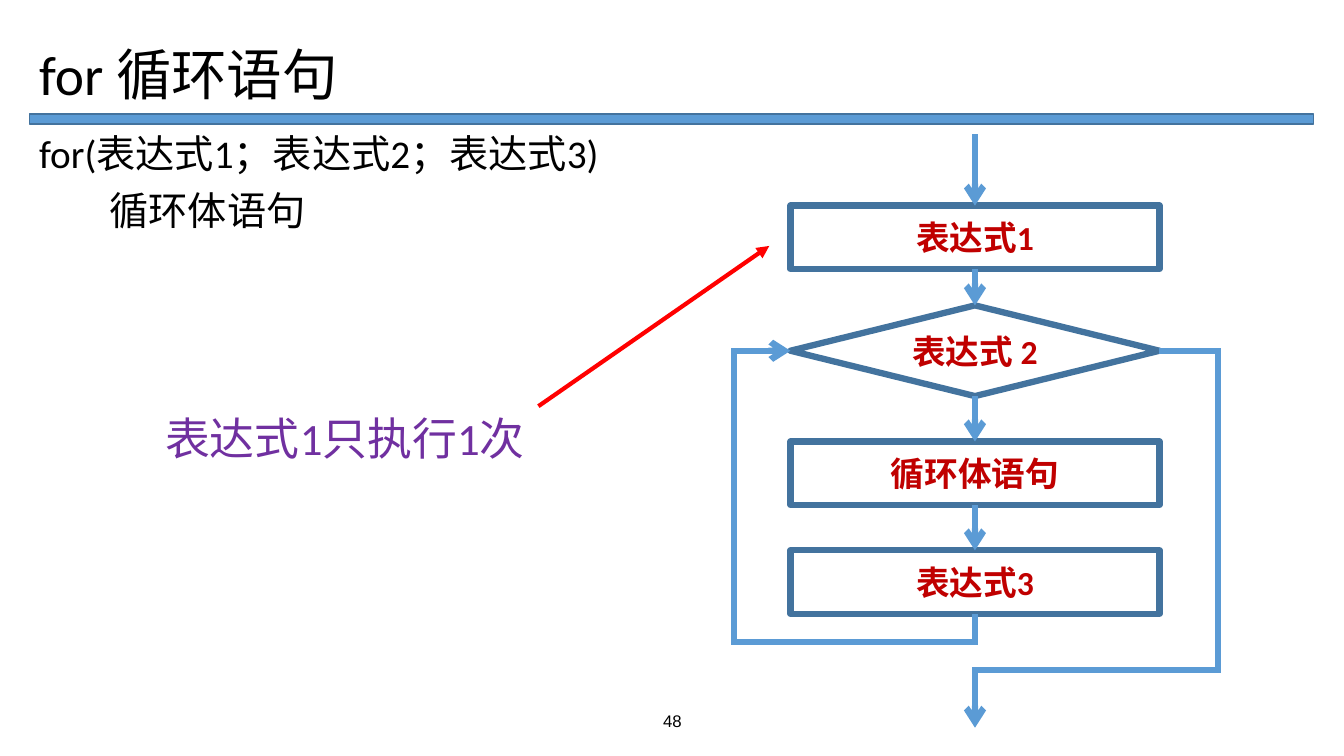
from pptx import Presentation
from pptx.dml.color import RGBColor
from pptx.enum.shapes import MSO_CONNECTOR as CONN, MSO_SHAPE as SHAPE
from pptx.enum.text import MSO_ANCHOR as ANCHOR, PP_ALIGN as ALIGN
from pptx.oxml.ns import qn
from pptx.util import Inches, Pt
from lxml import etree

BLUE = RGBColor(0x5B, 0x9B, 0xD5)
DARK_BLUE = RGBColor(0x43, 0x73, 0x9E)
DARK_RED = RGBColor(0xC0, 0x00, 0x00)
RED = RGBColor(0xFF, 0x00, 0x00)
PURPLE = RGBColor(0x70, 0x30, 0xA0)
BLACK = RGBColor(0x00, 0x00, 0x00)

TITLE = "for 循环语句"
# text, indent in inches
SYNTAX = [("for(表达式1；表达式2；表达式3)", 0), ("循环体语句", 0.7)]
CALLOUT = "表达式1只执行1次"
PAGE = "48"
# text, shape, top, height
STEPS = [
    ("表达式1", SHAPE.RECTANGLE, 2.04, 0.63),
    ("表达式 2", SHAPE.DIAMOND, 3.03, 0.9),
    ("循环体语句", SHAPE.RECTANGLE, 4.38, 0.63),
    ("表达式3", SHAPE.RECTANGLE, 5.46, 0.63),
]
STEP_LEFT, STEP_W = 7.84, 3.66
ENTRY_Y, EXIT_Y = 1.33, 7.22
LOOP_X, LOOP_Y = 7.28, 6.37
LEAVE_X, LEAVE_Y = 12.08, 6.65

prs = Presentation()
prs.slide_width, prs.slide_height = Inches(13.33), Inches(7.5)
s = prs.slides.add_slide(prs.slide_layouts[6])


def write(tf, text, first=True, size=24, color=BLACK, font="Calibri", bold=False,
          align=ALIGN.LEFT, anchor=ANCHOR.TOP, spacing=1, before=0, indent=0):
    tf.word_wrap = True
    tf.vertical_anchor = anchor
    p = tf.paragraphs[0] if first else tf.add_paragraph()
    p.alignment, p.line_spacing, p.space_before = align, spacing, Pt(before)
    if indent:
        p._p.get_or_add_pPr().set("marL", str(Inches(indent)))
    r = p.add_run()
    r.text = text
    r.font.name, r.font.size, r.font.bold = font, Pt(size), bold
    r.font.color.rgb = color


def text_frame(x, y, w, h):
    return s.shapes.add_textbox(Inches(x), Inches(y), Inches(w), Inches(h)).text_frame


def box(kind, x, y, w, h, line_w, fill=None):
    sp = s.shapes.add_shape(kind, Inches(x), Inches(y), Inches(w), Inches(h))
    sp.shadow.inherit = False
    if fill is None:
        sp.fill.background()
    else:
        sp.fill.solid()
        sp.fill.fore_color.rgb = fill
    sp.line.color.rgb, sp.line.width = DARK_BLUE, Pt(line_w)
    return sp


def arrow(points, color=BLUE, width=4.5, head="arrow"):
    """Draw a line through the points, with an arrowhead at the last one."""
    pts = [(Inches(x), Inches(y)) for x, y in points]
    if len(pts) == 2:
        sp = s.shapes.add_connector(CONN.STRAIGHT, *pts[0], *pts[1])
        etree.SubElement(sp._element.spPr, qn("a:effectLst"))
    else:
        builder = s.shapes.build_freeform(*pts[0])
        builder.add_line_segments(pts[1:], close=False)
        sp = builder.convert_to_shape()
        sp.shadow.inherit = False
        sp.fill.background()
    sp.line.color.rgb, sp.line.width = color, Pt(width)
    ln = sp.line._get_or_add_ln()
    etree.SubElement(ln, qn("a:miter"), lim="800000")
    etree.SubElement(ln, qn("a:tailEnd"), type=head)


# Heading and syntax
box(SHAPE.RECTANGLE, 0.29, 1.13, 12.74, 0.1, 1, BLUE)
write(text_frame(0.29, 0.4, 12.74, 0.73), TITLE, size=39.6,
      anchor=ANCHOR.MIDDLE, spacing=0.9)
syntax_tf = text_frame(0.29, 1.29, 12.74, 5.46)
for i, (text, indent) in enumerate(SYNTAX):
    write(syntax_tf, text, first=i == 0, size=28, spacing=0.9, before=10, indent=indent)
write(text_frame(4.42, 6.95, 4.5, 0.4), PAGE, size=12, font="Arial",
      align=ALIGN.CENTER, anchor=ANCHOR.MIDDLE)

# Flowchart
for text, kind, top, height in STEPS:
    sp = box(kind, STEP_LEFT, top, STEP_W, height, 4.5)
    write(sp.text_frame, text, color=DARK_RED, bold=True,
          align=ALIGN.CENTER, anchor=ANCHOR.MIDDLE)

mid_x, right = STEP_LEFT + STEP_W / 2, STEP_LEFT + STEP_W
tops = [top for _, _, top, _ in STEPS]
bottoms = [top + height for _, _, top, height in STEPS]
test_y = (tops[1] + bottoms[1]) / 2
for start, end in zip([ENTRY_Y] + bottoms, tops):
    arrow([(mid_x, start), (mid_x, end)])
arrow([(mid_x, bottoms[-1]), (mid_x, LOOP_Y), (LOOP_X, LOOP_Y),
       (LOOP_X, test_y), (STEP_LEFT, test_y)])
arrow([(right, test_y), (LEAVE_X, test_y), (LEAVE_X, LEAVE_Y),
       (mid_x, LEAVE_Y), (mid_x, EXIT_Y)])

# Callout
write(text_frame(1.04, 4.03, 4.3, 0.64), CALLOUT, size=32, color=PURPLE, indent=0.5)
arrow([(5.34, 4.03), (7.63, 2.44)], color=RED, width=3, head="triangle")

prs.save("out.pptx")
